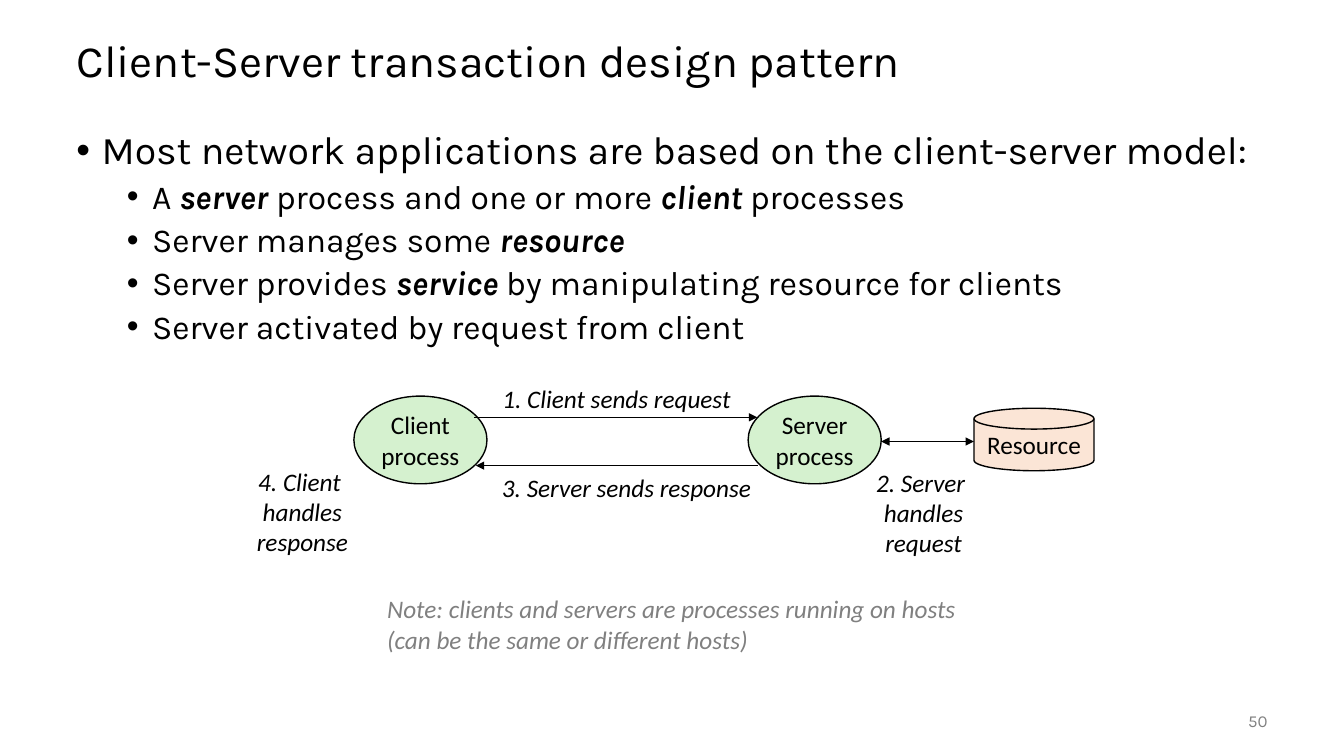
"""Build the client-server transaction slide."""
from lxml import etree
from pptx import Presentation
from pptx.dml.color import RGBColor
from pptx.enum import shapes, text
from pptx.oxml import ns
from pptx.util import Inches, Pt

TITLE = "Client-Server transaction design pattern"
BULLETS = [
    (0, "Most network applications are based on the client-server model:"),
    (1, "A *server* process and one or more *client *processes"),
    (1, "Server manages some *resource*"),
    (1, "Server provides *service* by manipulating resource for clients"),
    (1, "Server activated by request from client"),
]
LEVELS = [(28, 0.25, 0), (24, 0.75, 5)]
OVAL, DISK = shapes.MSO_SHAPE.OVAL, shapes.MSO_SHAPE.FLOWCHART_MAGNETIC_DISK
BLACK = RGBColor(0x00, 0x00, 0x00)
GRAY = RGBColor(0x80, 0x80, 0x80)
GREEN = RGBColor(0xD5, 0xF1, 0xCF)
PEACH = RGBColor(0xFB, 0xE5, 0xD6)
NODES = [
    (OVAL, "Client\nprocess", GREEN, (3.51, 3.93, 1.32, 0.87)),
    (OVAL, "Server\nprocess", GREEN, (7.42, 3.93, 1.32, 0.87)),
    (DISK, "Resource", PEACH, (9.66, 4.05, 1.19, 0.62)),
]
ARROWS = [
    ((4.7, 4.14), (7.51, 4.14), ["tailEnd"]),
    ((7.52, 4.62), (4.72, 4.62), ["tailEnd"]),
    ((8.74, 4.38), (9.66, 4.38), ["headEnd", "tailEnd"]),
]
LABELS = [
    ("1. Client sends request", (4.84, 3.75, 2.55, 0.4)),
    ("3. Server sends response", (4.83, 4.64, 2.77, 0.4)),
    ("4. Client \nhandles\nresponse", (2.43, 4.57, 1.14, 1.01)),
    ("2. Server \nhandles\nrequest", (8.57, 4.58, 1.18, 1.01)),
]
NOTE = ("Note: clients and servers are processes running on hosts\n"
        "(can be the same or different hosts)")
LEFT, MID, RIGHT = text.PP_ALIGN.LEFT, text.PP_ALIGN.CENTER, text.PP_ALIGN.RIGHT
TOP, CENTER = text.MSO_ANCHOR.TOP, text.MSO_ANCHOR.MIDDLE


def inches(nums):
    """Turn numbers into lengths."""
    return [Inches(n) for n in nums]


def style(font, size, name="Calibri", color=BLACK, italic=False):
    """Set the look of a font."""
    font.size, font.name, font.italic = Pt(size), name, italic
    font.color.rgb = color


def write(shape, words, align=MID, anchor=CENTER, wrap=False, size=18, **look):
    """Fill a shape with styled text."""
    frame = shape.text_frame
    frame.text = words
    frame.word_wrap, frame.vertical_anchor = wrap, anchor
    for para in frame.paragraphs:
        para.alignment = align
        for run in para.runs:
            style(run.font, size, **look)


def add_label(slide, words, box, **look):
    """Add a text box."""
    write(slide.shapes.add_textbox(*inches(box)), words, **look)


def add_node(slide, kind, words, fill, box):
    """Add an outlined, filled shape with a caption."""
    node = slide.shapes.add_shape(kind, *inches(box))
    node.shadow.inherit = False
    node.fill.solid()
    node.fill.fore_color.rgb = fill
    node.line.color.rgb, node.line.width = BLACK, Pt(1)
    write(node, words)


def add_arrow(slide, start, end, tips):
    """Add a straight line with arrowheads."""
    line = slide.shapes.add_connector(
        shapes.MSO_CONNECTOR.STRAIGHT, *inches(start + end))
    line.line.color.rgb, line.line.width = BLACK, Pt(1)
    props = line._element.spPr
    for tip in tips:
        etree.SubElement(props.find(ns.qn("a:ln")), ns.qn("a:" + tip),
                         type="triangle")
    etree.SubElement(props, ns.qn("a:effectLst"))


def add_bullets(slide):
    """Add the bullet list, with starred words in bold italic."""
    frame = slide.shapes.add_textbox(*inches((0.66, 1.25, 12, 5.5))).text_frame
    frame.word_wrap = True
    for num, (level, words) in enumerate(BULLETS):
        para = frame.add_paragraph() if num else frame.paragraphs[0]
        size, indent, gap = LEVELS[level]
        props = para._p.get_or_add_pPr()
        props.set("marL", str(Inches(indent)))
        props.set("indent", str(Inches(-0.25)))
        etree.SubElement(props, ns.qn("a:buFont"), typeface="Arial")
        etree.SubElement(props, ns.qn("a:buChar"), char="•")
        para.level, para.line_spacing, para.space_before = level, 0.9, Pt(gap)
        for part, piece in enumerate(words.split("*")):
            if piece:
                run = para.add_run()
                run.text, run.font.bold = piece, part % 2 == 1
                style(run.font, size, "Karla", italic=part % 2 == 1)


def main():
    """Build and save the slide."""
    deck = Presentation()
    deck.slide_width, deck.slide_height = inches((13.33, 7.5))
    slide = deck.slides.add_slide(deck.slide_layouts[5])
    title = slide.shapes.title
    title.left, title.top, title.width, title.height = inches((0.66, 0.25, 12, 0.75))
    write(title, TITLE, LEFT, wrap=True, size=32, name="Karla")
    title.text_frame.paragraphs[0].line_spacing = 0.9
    add_bullets(slide)
    for node in NODES:
        add_node(slide, *node)
    for arrow in ARROWS:
        add_arrow(slide, *arrow)
    for words, box in LABELS:
        add_label(slide, words, box, italic=True)
    add_label(slide, NOTE, (3.74, 5.84, 6.11, 0.71), align=LEFT, anchor=TOP,
              wrap=True, color=GRAY, italic=True)
    add_label(slide, "50", (11.67, 6.95, 1, 0.4), align=RIGHT, wrap=True,
              size=12, name="Karla", color=GRAY)
    deck.save("out.pptx")


if __name__ == "__main__":
    main()
